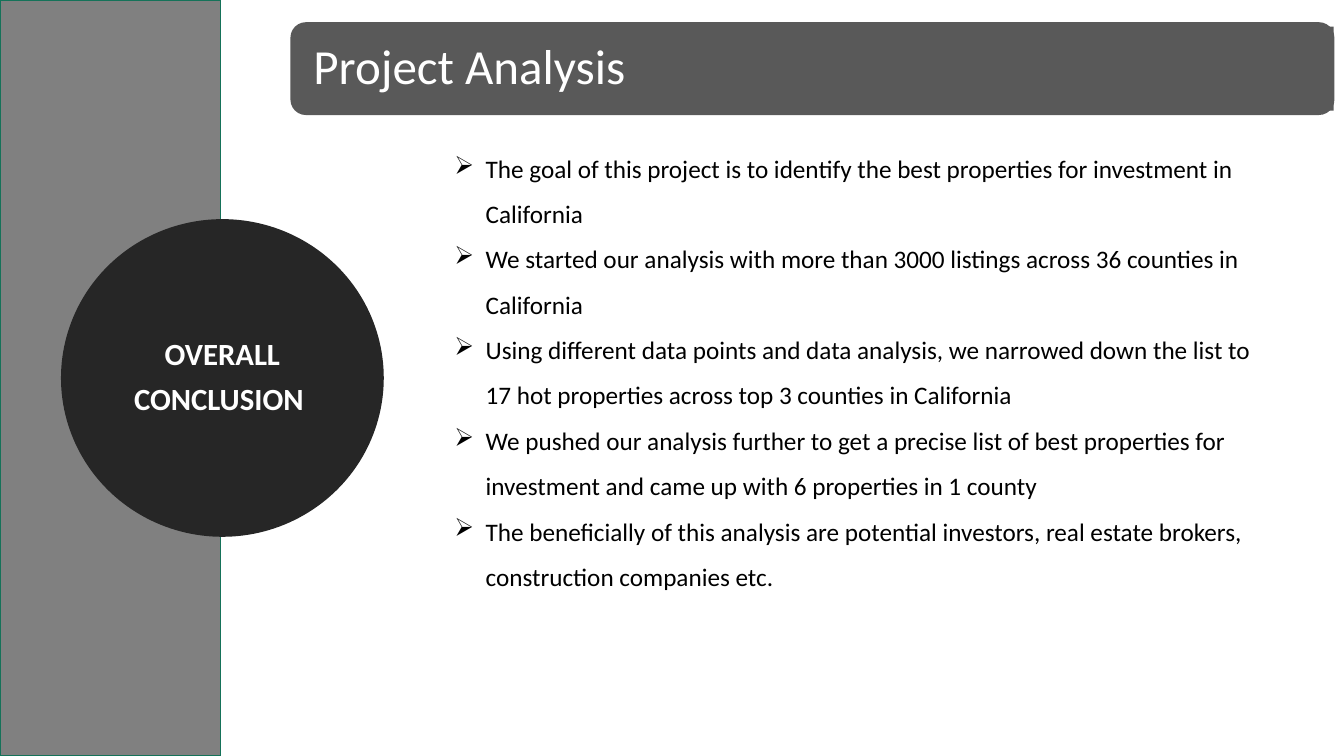
from lxml import etree
from pptx import Presentation
from pptx.dml.color import RGBColor
from pptx.enum import shapes, text
from pptx.oxml.ns import qn
from pptx.util import Cm, Pt

SLIDE_WIDTH, SLIDE_HEIGHT = 33.87, 19.05
FINDINGS = [
    "The goal of this project is to identify the best properties for investment in California",
    "We started our analysis with more than 3000 listings across 36 counties in California",
    "Using different data points and data analysis, we narrowed down the list to 17 hot "
    "properties across top 3 counties in California",
    "We pushed our analysis further to get a precise list of best properties for investment "
    "and came up with 6 properties in 1 county",
    "The beneficially of this analysis are potential investors, real estate brokers, "
    "construction companies etc.",
]


def rgb(hex_colour):
    return RGBColor.from_string(hex_colour)


def add_solid(parent, kind, box, fill, line=None, line_width=1):
    solid = parent.add_shape(kind, *map(Cm, box))
    solid.shadow.inherit = False
    solid.fill.solid()
    solid.fill.fore_color.rgb = rgb(fill)
    if line:
        solid.line.color.rgb = rgb(line)
        solid.line.width = Pt(line_width)
    else:
        solid.line.fill.background()
    return solid


def write(frame, lines, size, colour, bold=False, bullet=None, **paragraph_format):
    """Fill a text frame with one paragraph per line."""
    frame.word_wrap = True
    for index, line in enumerate(lines):
        paragraph = frame.add_paragraph() if index else frame.paragraphs[0]
        for name, value in paragraph_format.items():
            setattr(paragraph, name, value)
        if bullet:
            properties = paragraph._p.get_or_add_pPr()
            properties.set("marL", str(Cm(0.79)))
            properties.set("indent", str(-Cm(0.79)))
            etree.SubElement(properties, qn("a:buChar")).set("char", bullet)
        run = paragraph.add_run()
        run.text = line
        font = {"name": "Calibri", "size": Pt(size), "bold": bold}
        for name, value in font.items():
            setattr(run.font, name, value)
        run.font.color.rgb = rgb(colour)


def add_sidebar(slide, left, top, width, height):
    add_solid(slide.shapes, shapes.MSO_SHAPE.RECTANGLE, (left, top, width, height),
              "808080", "157259")
    across, down = 7.65, 7.52
    circle_box = (left + width - 3.78, top + (height - down) / 2, across, down)
    circle = add_solid(slide.shapes, shapes.MSO_SHAPE.OVAL, circle_box,
                       "262626", "262626", 13.75)
    circle.text_frame.vertical_anchor = text.MSO_ANCHOR.MIDDLE
    write(circle.text_frame, ["OVERALL", "CONCLUSION "], 22, "FFFFFF", bold=True,
          alignment=text.PP_ALIGN.CENTER, line_spacing=0.9, space_after=Pt(8))


def add_title(slide, left, top, width, height):
    banner = slide.shapes.add_group_shape().shapes
    add_solid(banner, shapes.MSO_SHAPE.ROUNDED_RECTANGLE, (left, top, width, height), "595959")
    title_box = (left + 0.2, top + 0.11, width - 0.22, height - 0.22)
    title = add_solid(banner, shapes.MSO_SHAPE.RECTANGLE, title_box, "595959")
    frame = title.text_frame
    frame.vertical_anchor = text.MSO_ANCHOR.MIDDLE
    for side in ("left", "top", "right", "bottom"):
        setattr(frame, f"margin_{side}", Cm(0.38))
    write(frame, ["Project Analysis"], 35, "FFFFFF",
          alignment=text.PP_ALIGN.LEFT, line_spacing=0.9)


def add_findings(slide, left, top, width, height):
    findings = slide.shapes.add_textbox(*map(Cm, (left, top, width, height)))
    findings.text_frame.auto_size = text.MSO_AUTO_SIZE.SHAPE_TO_FIT_TEXT
    write(findings.text_frame, FINDINGS, 18, "000000", bullet="➢", line_spacing=1.5)


def main():
    deck = Presentation()
    deck.slide_width, deck.slide_height = Cm(SLIDE_WIDTH), Cm(SLIDE_HEIGHT)
    slide = deck.slides.add_slide(deck.slide_layouts[6])
    add_sidebar(slide, 0, 0, 5.56, SLIDE_HEIGHT)
    add_title(slide, 7.32, 0.56, 26.31, 2.34)
    add_findings(slide, 11.2, 3.35, 20.57, 14)
    deck.save("out.pptx")


if __name__ == "__main__":
    main()
